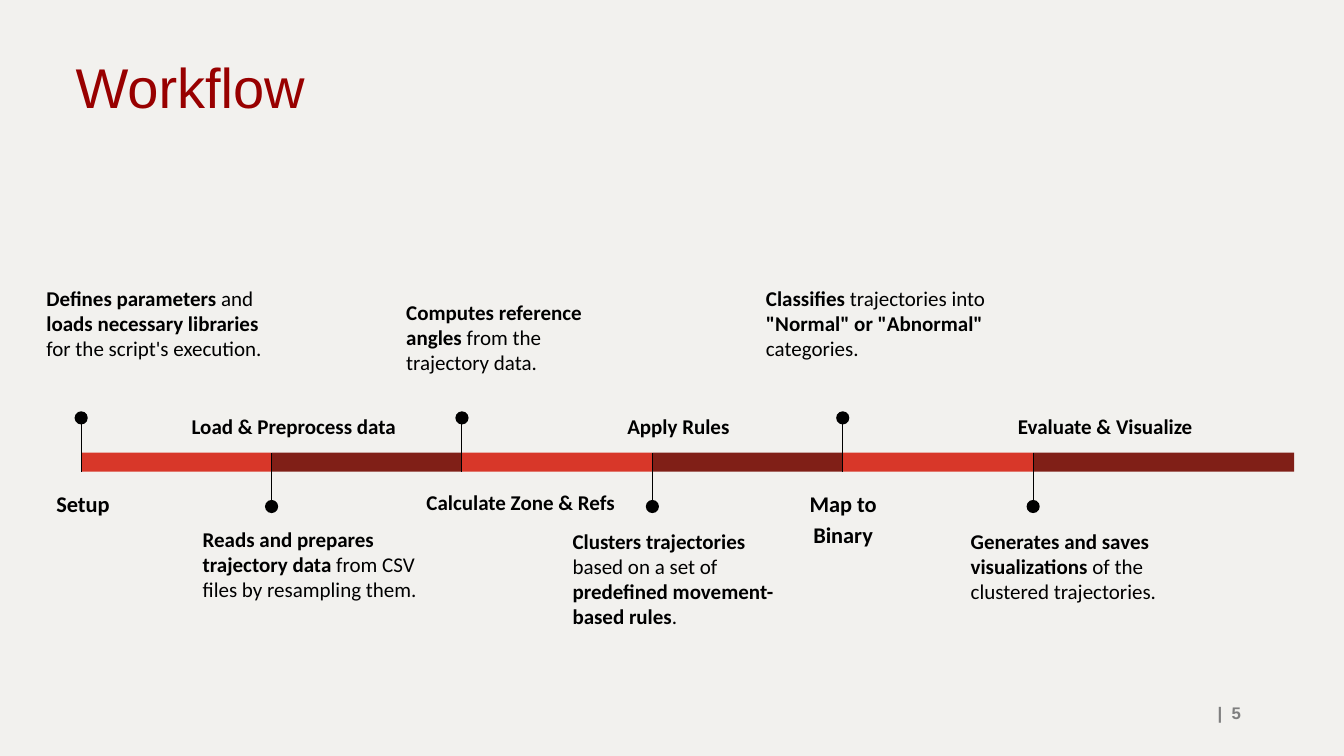
from dataclasses import dataclass
from pptx import Presentation
from pptx.dml.color import RGBColor
from pptx.enum.shapes import MSO_CONNECTOR, MSO_SHAPE
from pptx.enum.text import MSO_ANCHOR, MSO_AUTO_SIZE, PP_ALIGN
from pptx.oxml.ns import qn
from pptx.util import Pt


@dataclass(frozen=True)
class Theme:
    """Colours, fonts and type sizes of the slide."""
    background: str = "F2F1EE"
    title: str = "980000"
    muted: str = "7F7F7F"
    ink: str = "000000"
    bars: tuple = ("D83729", "801F17")
    heading_font: str = "Arial"
    body_font: str = "Calibri"
    title_size: int = 40
    label_size: int = 16
    body_size: int = 15
    number_size: int = 12


THEME = Theme()
START, PITCH, LAST_WIDTH = 58, 136, 186.5
BAR_TOP, BAR_HEIGHT = 323.3, 13.7
BAR_BOTTOM = BAR_TOP + BAR_HEIGHT
DOT, STEM = 9.4, 37.5
LABEL_HEIGHT, NOTE_HEIGHT, INSET = 38.9, 99.4, 9.36

# label, label left, label width, label size, note, note left, note top, note width
STEPS = [
    ("Setup", 23, 72.7, THEME.label_size,
     "**Defines parameters** and **loads necessary libraries** for the script's execution.",
     23.8, 194.4, 176.4),
    ("Load & Preprocess data", 113.8, 192.2, THEME.body_size,
     "**Reads and prepares trajectory data** from CSV files by resampling them.",
     135.4, 366.5, 176.4),
    ("Calculate Zone & Refs", 277.2, 189.4, THEME.body_size,
     "**Computes reference angles** from the trajectory data.",
     280.8, 204.5, 176.4),
    ("Apply Rules", 427, 115.2, THEME.body_size,
     "**Clusters trajectories **based on a set of **predefined movement-based rules**.",
     399.6, 367.9, 176.4),
    ("Map to Binary", 563, 78.5, THEME.label_size,
     '**Classifies** trajectories into **"Normal" or "Abnormal" **categories.',
     537.8, 194.4, 195.1),
    ("Evaluate & Visualize", 699.1, 180.7, THEME.body_size,
     "**Generates and saves visualizations** of the clustered trajectories.",
     684, 367.9, 176.4),
]


def rgb(value):
    """Turn a hex string into a colour."""
    return RGBColor.from_string(value)


def write(sp, text, *, size, font=THEME.body_font, color=THEME.ink, align=PP_ALIGN.LEFT,
          anchor=MSO_ANCHOR.TOP, inset=(INSET, INSET), spacing=1.0, after=0):
    """Write one paragraph, with bold text between double asterisks."""
    tf = sp.text_frame
    tf.word_wrap, tf.auto_size, tf.vertical_anchor = True, MSO_AUTO_SIZE.NONE, anchor
    tf.margin_left = tf.margin_right = Pt(inset[0])
    tf.margin_top = tf.margin_bottom = Pt(inset[1])
    p = tf.paragraphs[0]
    p.alignment, p.line_spacing = align, spacing
    p.space_before, p.space_after = Pt(0), Pt(after)
    for i, part in enumerate(text.split("**")):
        if part:
            r = p.add_run()
            r.text = part
            r.font.name, r.font.size, r.font.bold = font, Pt(size), i % 2 == 1
            r.font.color.rgb = rgb(color)


def add_text(s, box, text, **style):
    """Add a text box."""
    write(s.shapes.add_textbox(*map(Pt, box)), text, **style)


def add_solid(s, kind, box, color):
    """Add a filled shape without outline."""
    sp = s.shapes.add_shape(kind, *map(Pt, box))
    sp.shadow.inherit = False
    sp.fill.solid()
    sp.fill.fore_color.rgb = rgb(color)
    sp.line.fill.background()


def add_marker(s, x, above):
    """Add a stem across the bar that ends in a dot."""
    base, tip = (BAR_BOTTOM, BAR_BOTTOM - STEM) if above else (BAR_TOP, BAR_TOP + STEM)
    line = s.shapes.add_connector(MSO_CONNECTOR.STRAIGHT, Pt(x), Pt(tip), Pt(x), Pt(base))
    line.line.color.rgb, line.line.width = rgb(THEME.ink), Pt(0.75)
    sp_pr = line._element.spPr
    sp_pr.append(sp_pr.makeelement(qn("a:effectLst"), {}))
    top = 293.8 if above else 357.1
    add_solid(s, MSO_SHAPE.OVAL, (x - DOT / 2, top, DOT, DOT), THEME.ink)


def add_step(s, i, step):
    """Add one step of the timeline, with notes alternating above and below."""
    label, label_left, label_width, label_size, note, left, top, width = step
    x, above = START + i * PITCH, i % 2 == 0
    bar_width = LAST_WIDTH if i == len(STEPS) - 1 else PITCH
    add_solid(s, MSO_SHAPE.RECTANGLE, (x, BAR_TOP, bar_width, BAR_HEIGHT), THEME.bars[i % 2])
    add_marker(s, x, above)
    label_top = 337.7 if above else 283.7
    add_text(s, (label_left, label_top, label_width, LABEL_HEIGHT), f"**{label}**",
             size=label_size, align=PP_ALIGN.CENTER, spacing=1.15, after=21)
    add_text(s, (left, top, width, NOTE_HEIGHT), note, size=THEME.body_size, after=21)


def main():
    """Build and save the workflow slide."""
    prs = Presentation()
    prs.slide_width, prs.slide_height = Pt(960), Pt(540)
    s = prs.slides.add_slide(prs.slide_layouts[5])
    s.background.fill.solid()
    s.background.fill.fore_color.rgb = rgb(THEME.background)
    title = s.shapes.title
    title.left, title.top, title.width, title.height = map(Pt, (46.8, 38.9, 828, 51.1))
    write(title, "Workflow", size=THEME.title_size, font=THEME.heading_font,
          color=THEME.title, anchor=MSO_ANCHOR.BOTTOM, inset=(7.2, 3.6), spacing=0.9)
    add_text(s, (850.3, 494.6, 43.2, 29.5), "**|  5**", size=THEME.number_size,
             font=THEME.heading_font, color=THEME.muted, align=PP_ALIGN.RIGHT,
             anchor=MSO_ANCHOR.MIDDLE, inset=(7.2, 3.6))
    for i, step in enumerate(STEPS):
        add_step(s, i, step)
    prs.save("out.pptx")


if __name__ == "__main__":
    main()
